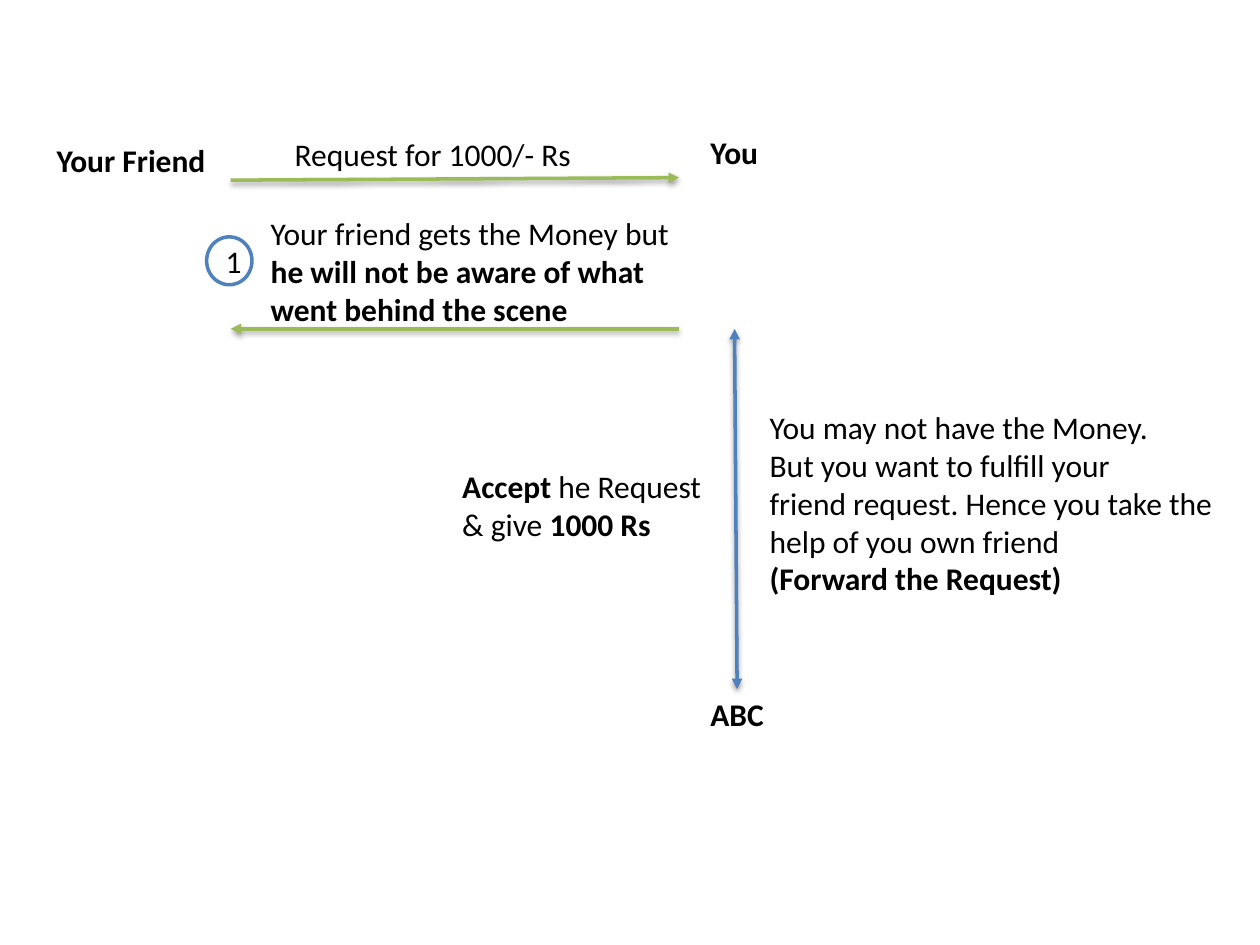
from lxml import etree
from pptx import Presentation
from pptx.dml.color import RGBColor
from pptx.enum.shapes import MSO_CONNECTOR, MSO_SHAPE
from pptx.enum.text import MSO_ANCHOR, MSO_AUTO_SIZE, PP_ALIGN
from pptx.oxml import parse_xml
from pptx.oxml.ns import nsdecls, qn
from pptx.util import Inches, Pt

BLACK = RGBColor(0x00, 0x00, 0x00)
GREEN = RGBColor(0x9B, 0xBB, 0x59)
BLUE = RGBColor(0x4F, 0x81, 0xBD)

SHADOW = (
    f'<a:effectLst {nsdecls("a")}>'
    '<a:outerShdw blurRad="40000" dist="20000" dir="5400000" rotWithShape="0">'
    '<a:srgbClr val="000000"><a:alpha val="38000"/></a:srgbClr>'
    '</a:outerShdw></a:effectLst>'
)


def add_span(para, text, bold=False):
    span = para.add_run()
    span.text = text
    span.font.name = "Calibri"
    span.font.size = Pt(18)
    span.font.bold = bold
    span.font.color.rgb = BLACK


deck = Presentation()
deck.slide_width = Inches(10)
deck.slide_height = Inches(7.5)
page = deck.slides.add_slide(deck.slide_layouts[6])

# Arrows: start, end, colour, arrowheads
arrows = [
    ((1.83, 1.43), (5.39, 1.41), GREEN, ["tailEnd"]),
    ((5.39, 2.61), (1.83, 2.61), GREEN, ["tailEnd"]),
    ((5.83, 2.61), (5.85, 5.47), BLUE, ["headEnd", "tailEnd"]),
]
for start, end, color, heads in arrows:
    points = [Inches(value) for value in start + end]
    arrow = page.shapes.add_connector(MSO_CONNECTOR.STRAIGHT, *points)
    arrow.line.color.rgb = color
    arrow.line.width = Pt(2)
    line_xml = arrow.line._get_or_add_ln()
    for head in heads:
        etree.SubElement(line_xml, qn(f"a:{head}"), type="triangle")
    arrow._element.spPr.append(parse_xml(SHADOW))

# Labels: position and size, wrapping, paragraphs of (text, bold) spans
labels = [
    ((0.35, 1.07, 1.39, 0.4), False, [[("Your Friend", True)]]),
    ((2.24, 1.02, 2.42, 0.4), False, [[("Request for 1000/- Rs", False)]]),
    ((5.54, 1.01, 0.58, 0.4), False, [[("You", True)]]),
    ((5.54, 5.47, 0.63, 0.4), True, [[("ABC", True)]]),
    ((2.05, 1.65, 3.36, 1.01), True, [
        [("Your friend gets the Money but ", False),
         ("he will not be aware of what went behind the scene", True)],
    ]),
    ((3.57, 3.66, 2.29, 0.71), True, [
        [("Accept", True), (" he Request", False)],
        [("& give ", False), ("1000 Rs", True)],
    ]),
    ((6.01, 3.19, 3.82, 1.62), False, [
        [("You may not have the Money.", False)],
        [("But you want to fulfill your", False)],
        [("friend request. Hence you take the", False)],
        [("help of you own friend", False)],
        [("(Forward the Request)", True)],
    ]),
]
for place, wrap, paragraphs in labels:
    box = page.shapes.add_textbox(*[Inches(value) for value in place])
    frame = box.text_frame
    frame.word_wrap = wrap
    frame.auto_size = MSO_AUTO_SIZE.SHAPE_TO_FIT_TEXT
    for number, spans in enumerate(paragraphs):
        para = frame.add_paragraph() if number else frame.paragraphs[0]
        for text, bold in spans:
            add_span(para, text, bold)

# Numbered step marker
marker = page.shapes.add_shape(
    MSO_SHAPE.FLOWCHART_CONNECTOR,
    Inches(1.64), Inches(1.88), Inches(0.36), Inches(0.38))
marker.shadow.inherit = False
marker.fill.background()
marker.line.color.rgb = BLUE
marker.line.width = Pt(2)
marker.text_frame.vertical_anchor = MSO_ANCHOR.MIDDLE
para = marker.text_frame.paragraphs[0]
para.alignment = PP_ALIGN.CENTER
add_span(para, "1")

deck.save("out.pptx")
